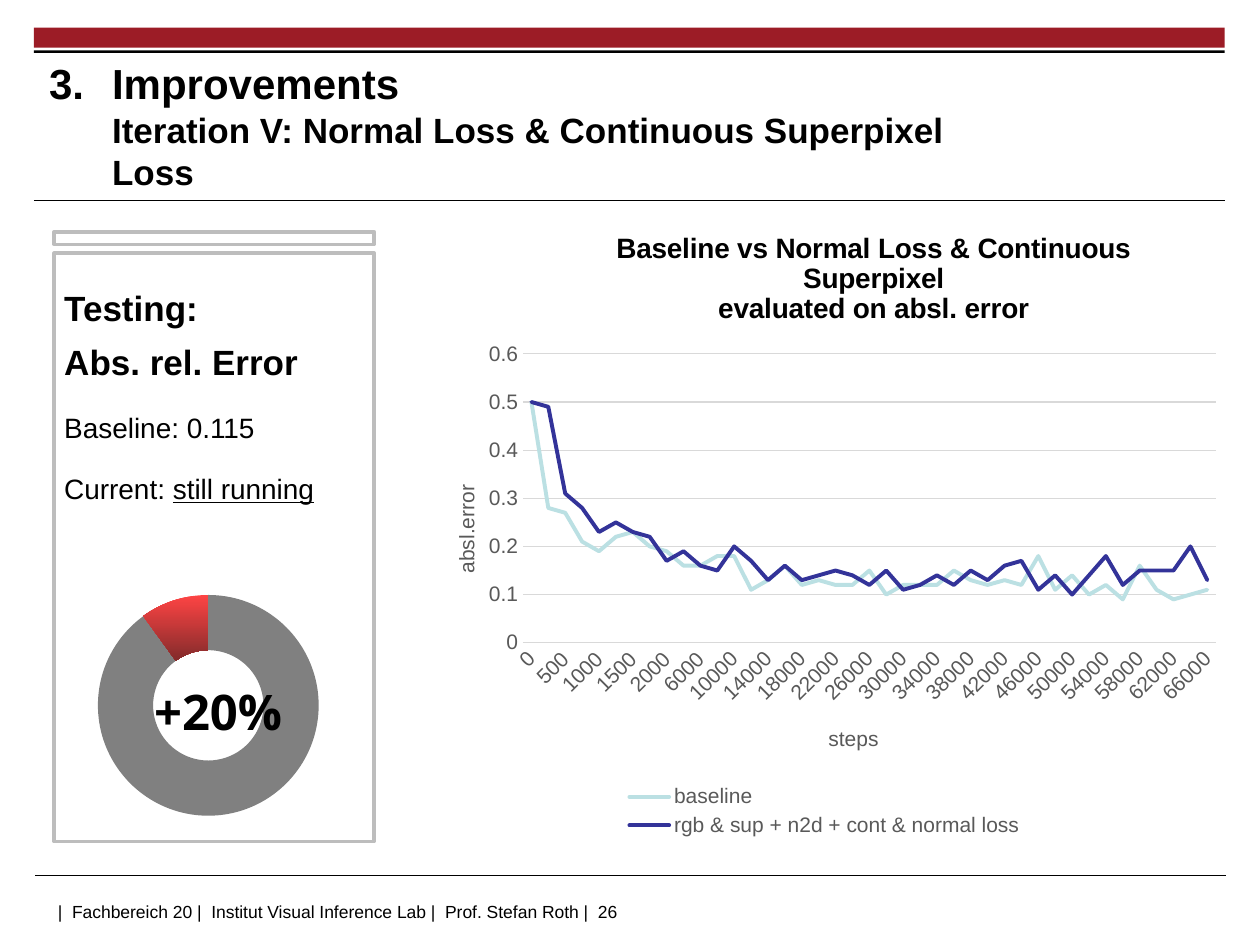
from lxml import etree
from pptx import Presentation
from pptx import util as u
from pptx.chart import data
from pptx.dml.color import RGBColor
from pptx.enum import chart as ch, shapes, text
from pptx.oxml import ns

COLORS = {
    "black": "000000", "white": "FFFFFF", "banner": "9C1C26", "frame": "BDBDBD",
    "ring": "808080", "bright": "FE4444", "dark": "832B2B", "label": "595959",
    "grid": "D9D9D9", "baseline": "BBE0E3", "combined": "333399",
}


def child(parent, tag, **attrs):
    return etree.SubElement(parent, ns.qn(tag), attrs)


class SlideWriter:
    font_name = "Arial"

    def __init__(self, slide):
        self.slide = slide

    def color(self, name):
        return RGBColor.from_string(COLORS[name])

    def style(self, font, size, color="black", bold=False, name=None):
        font.size, font.bold, font.name = u.Pt(size), bold, name or self.font_name
        font.color.rgb = self.color(color)

    def run(self, paragraph, words, size, color="black", bold=False, name=None):
        run = paragraph.add_run()
        run.text = words
        self.style(run.font, size, color, bold, name)
        return run

    def rect(self, box, fill, line=None):
        shape = self.slide.shapes.add_shape(shapes.MSO_SHAPE.RECTANGLE, *map(u.Pt, box))
        shape.shadow.inherit = False
        shape.fill.solid()
        shape.fill.fore_color.rgb = self.color(fill)
        if line:
            shape.line.color.rgb = self.color(line)
            shape.line.width = u.Pt(2)
        else:
            shape.line.fill.background()

    def rule(self, left, right, y):
        line = self.slide.shapes.add_connector(
            shapes.MSO_CONNECTOR.STRAIGHT, *map(u.Pt, (left, y, right, y)))
        line.line.color.rgb = self.color("black")
        line.line.width = u.Pt(0.6)
        child(line._element.spPr, "a:effectLst")

    def textbox(self, box, insets, anchor=text.MSO_ANCHOR.TOP):
        frame = self.slide.shapes.add_textbox(*map(u.Pt, box)).text_frame
        frame.word_wrap = True
        frame.vertical_anchor = anchor
        (frame.margin_left, frame.margin_top,
         frame.margin_right, frame.margin_bottom) = map(u.Pt, insets)
        return frame

    def chart(self, kind, box, categories, series):
        chart_data = data.CategoryChartData()
        chart_data.categories = categories
        for name, values in series:
            chart_data.add_series(name, values)
        chart = self.slide.shapes.add_chart(kind, *map(u.Pt, box), chart_data).chart
        self.style(chart.font, 10)
        chart.has_title = chart.has_legend = False
        return chart

    def place(self, element, index, x, y, size=None, inner=False):
        for old in element.findall(ns.qn("c:layout")):
            element.remove(old)
        layout = etree.Element(ns.qn("c:layout"))
        element.insert(index, layout)
        manual = child(layout, "c:manualLayout")
        if inner:
            child(manual, "c:layoutTarget", val="inner")
        child(manual, "c:xMode", val="edge")
        child(manual, "c:yMode", val="edge")
        child(manual, "c:x", val=str(x))
        child(manual, "c:y", val=str(y))
        if size:
            child(manual, "c:w", val=str(size[0]))
            child(manual, "c:h", val=str(size[1]))

    def place_plot(self, chart, x, y, size):
        self.place(chart._chartSpace.chart.plotArea, 0, x, y, size, inner=True)

    def chart_title(self, title, lines, size, color, bold, x, y):
        frame = title.text_frame
        for index, line in enumerate(lines):
            paragraph = frame.add_paragraph() if index else frame.paragraphs[0]
            self.run(paragraph, line, size, color, bold)
        self.place(title._element, 1, x, y)

    def axis(self, axis, title, x, y):
        axis.major_tick_mark = axis.minor_tick_mark = ch.XL_TICK_MARK.NONE
        self.style(axis.tick_labels.font, 12, "label")
        self.chart_title(axis.axis_title, [title], 12, "label", False, x, y)


def add_frame(page):
    page.rect((19.4, 15.8, 680.4, 11.5), "banner")
    page.rule(19.4, 699.8, 114.5)
    page.rect((19.4, 28.8, 680.4, 1.4), "black")
    page.rule(20.2, 700.6, 500.4)
    footer = page.textbox((20.2, 511.2, 567.4, 18), (12.8, 3.6, 7.2, 3.6)).paragraphs[0]
    for part in ("Fachbereich 20 ", "Institut Visual Inference Lab ", "Prof. Stefan Roth ", "26"):
        separator = page.run(footer, "| ", 10)
        separator._r.get_or_add_rPr().set("spc", "139")
        page.run(footer, part, 10)


def add_heading(page):
    heading = page.textbox((28.1, 38.2, 522.7, 66.2), (0, 0, 0, 0),
                           text.MSO_ANCHOR.MIDDLE).paragraphs[0]
    properties = heading._p.get_or_add_pPr()
    properties.set("marL", str(u.Pt(36)))
    properties.set("indent", str(u.Pt(-36)))
    child(properties, "a:buFont", typeface="+mj-lt")
    child(properties, "a:buAutoNum", type="arabicPeriod", startAt="3")
    page.run(heading, "Improvements", 24, bold=True)
    heading.add_line_break()
    page.run(heading, "Iteration V: Normal Loss & Continuous Superpixel Loss", 20, bold=True)


def add_ring(page):
    ring = page.chart(ch.XL_CHART_TYPE.DOUGHNUT, (19.4, 308.2, 182.9, 184.3),
                      ["1", "2", "3", "4"], [("Series 1", (90, 10, None, None))])
    page.place_plot(ring, 0.2, 0.08, (0.69, 0.87))
    plot = ring.plots[0]
    plot.vary_by_categories = False
    plot._element.find(ns.qn("c:holeSize")).set("val", "80")
    for index in range(4):
        point = plot.series[0].points[index].format
        point.line.fill.background()
        if index == 1:
            point.fill.gradient()
            point.fill.gradient_angle = 270
            for stop, shade in zip(point.fill.gradient_stops, ("bright", "dark")):
                stop.color.rgb = page.color(shade)
        else:
            point.fill.solid()
            point.fill.fore_color.rgb = page.color("ring")


def add_results(page):
    results = page.textbox((36.7, 153.4, 176.4, 139), (0, 2.9, 17.3, 2.9))
    results.auto_size = text.MSO_AUTO_SIZE.SHAPE_TO_FIT_TEXT
    testing = results.paragraphs[0]
    baseline, current = results.add_paragraph(), results.add_paragraph()
    for paragraph in results.paragraphs:
        paragraph.line_spacing = 1.3
    baseline.space_before = current.space_before = u.Pt(10)
    page.run(testing, "Testing:", 20, bold=True)
    testing.add_line_break()
    page.run(testing, "Abs. rel. Error", 20, bold=True)
    page.run(baseline, "Baseline: 0.115", 16)
    page.run(current, "Current: ", 16)
    page.run(current, "still running", 16).font.underline = True

    gain = page.textbox((70.6, 380.2, 108, 41), (7.2, 0, 7.2, 3.6),
                        text.MSO_ANCHOR.MIDDLE).paragraphs[0]
    gain.alignment = text.PP_ALIGN.CENTER
    gain.line_spacing = 1.45
    page.run(gain, "+20%", 28, bold=True, name="Open Sans")


def add_error_chart(page):
    steps = [str(step) for step in (*range(0, 2000, 250), *range(2000, 66001, 2000))]
    baseline = (
        0.5, 0.28, 0.27, 0.21, 0.19, 0.22, 0.23, 0.2, 0.19, 0.16, 0.16, 0.18, 0.18, 0.11,
        0.13, 0.16, 0.12, 0.13, 0.12, 0.12, 0.15, 0.1, 0.12, 0.12, 0.12, 0.15, 0.13, 0.12,
        0.13, 0.12, 0.18, 0.11, 0.14, 0.1, 0.12, 0.09, 0.16, 0.11, 0.09, 0.1, 0.11)
    combined = (
        0.5, 0.49, 0.31, 0.28, 0.23, 0.25, 0.23, 0.22, 0.17, 0.19, 0.16, 0.15, 0.2, 0.17,
        0.13, 0.16, 0.13, 0.14, 0.15, 0.14, 0.12, 0.15, 0.11, 0.12, 0.14, 0.12, 0.15, 0.13,
        0.16, 0.17, 0.11, 0.14, 0.1, 0.14, 0.18, 0.12, 0.15, 0.15, 0.15, 0.2, 0.13)
    errors = page.chart(ch.XL_CHART_TYPE.LINE, (238.3, 118.8, 465.8, 362.9), steps,
                        [("baseline", baseline),
                         ("rgb & sup + n2d + cont & normal loss", combined)])
    page.style(errors.font, 12)
    page.chart_title(errors.chart_title,
                     ["Baseline vs Normal Loss & Continuous Superpixel",
                      "evaluated on absl. error"], 16, "black", True, 0.24, 0.03)
    page.place_plot(errors, 0.13, 0.23, (0.85, 0.455))
    errors.plots[0].vary_by_categories = False
    for series, shade in zip(errors.plots[0].series, ("baseline", "combined")):
        series.smooth = False
        series.format.line.color.rgb = page.color(shade)
        series.format.line.width = u.Pt(2.25)
        series.format.line._get_or_add_ln().set("cap", "rnd")
        series.marker.style = ch.XL_MARKER_STYLE.NONE

    page.axis(errors.category_axis, "steps", 0.5, 0.81)
    page.axis(errors.value_axis, "absl.error", 0.04, 0.43)
    errors.category_axis._element.txPr.bodyPr.set("rot", "-2700000")
    errors.value_axis.minimum_scale, errors.value_axis.maximum_scale = 0, 0.6
    errors.value_axis.major_unit = 0.1
    errors.value_axis.format.line.fill.background()
    for line in (errors.category_axis.format.line, errors.value_axis.major_gridlines.format.line):
        line.color.rgb = page.color("grid")
        line.width = u.Pt(0.75)

    errors.has_legend = True
    errors.legend.position = ch.XL_LEGEND_POSITION.BOTTOM
    errors.legend.include_in_layout = False
    page.style(errors.legend.font, 12, "label")
    page.place(errors.legend._element, 1, 0.25, 0.9, (0.5, 0.1))


def main():
    deck = Presentation()
    deck.slide_width, deck.slide_height = u.Pt(720), u.Pt(540)
    page = SlideWriter(deck.slides.add_slide(deck.slide_layouts[6]))
    add_frame(page)
    page.rect((31, 144.7, 182.9, 336.2), "white", "frame")
    page.rect((31, 132.5, 182.9, 7.2), "white", "frame")
    add_ring(page)
    add_heading(page)
    add_error_chart(page)
    add_results(page)
    deck.save("out.pptx")


if __name__ == "__main__":
    main()
